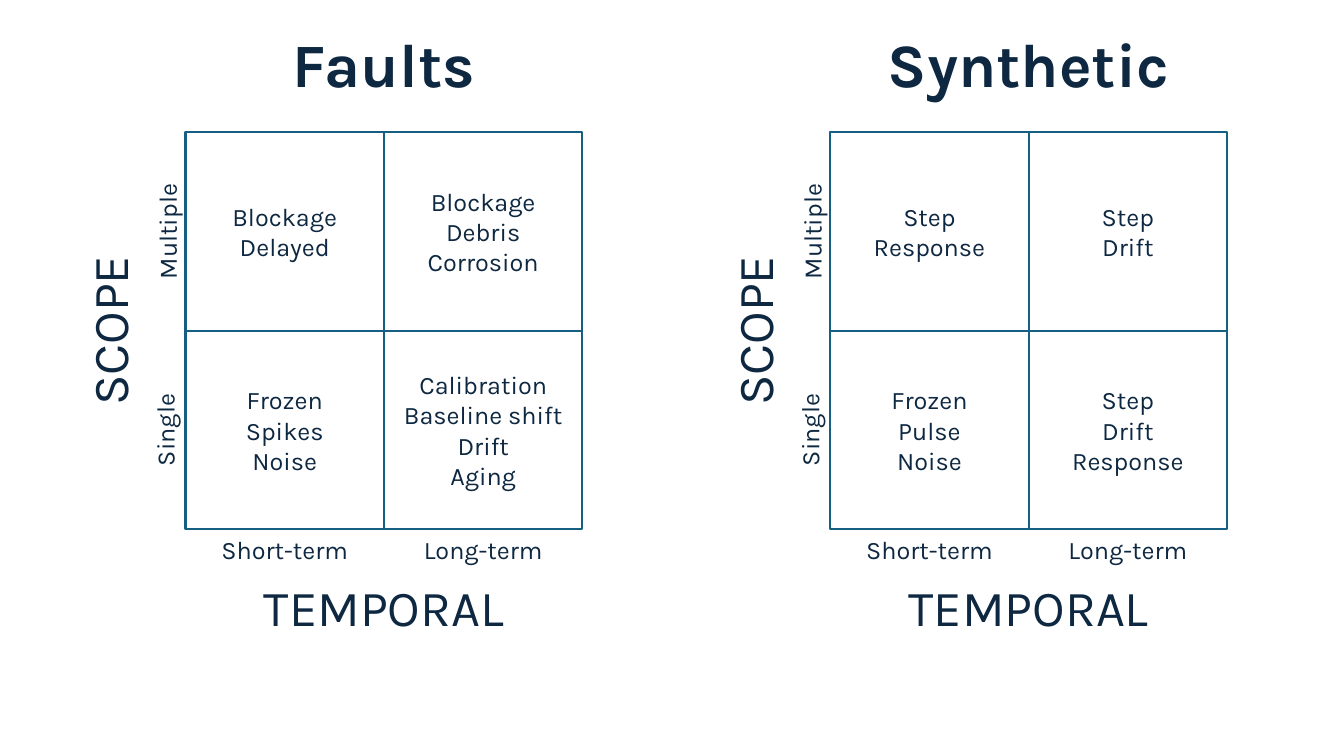
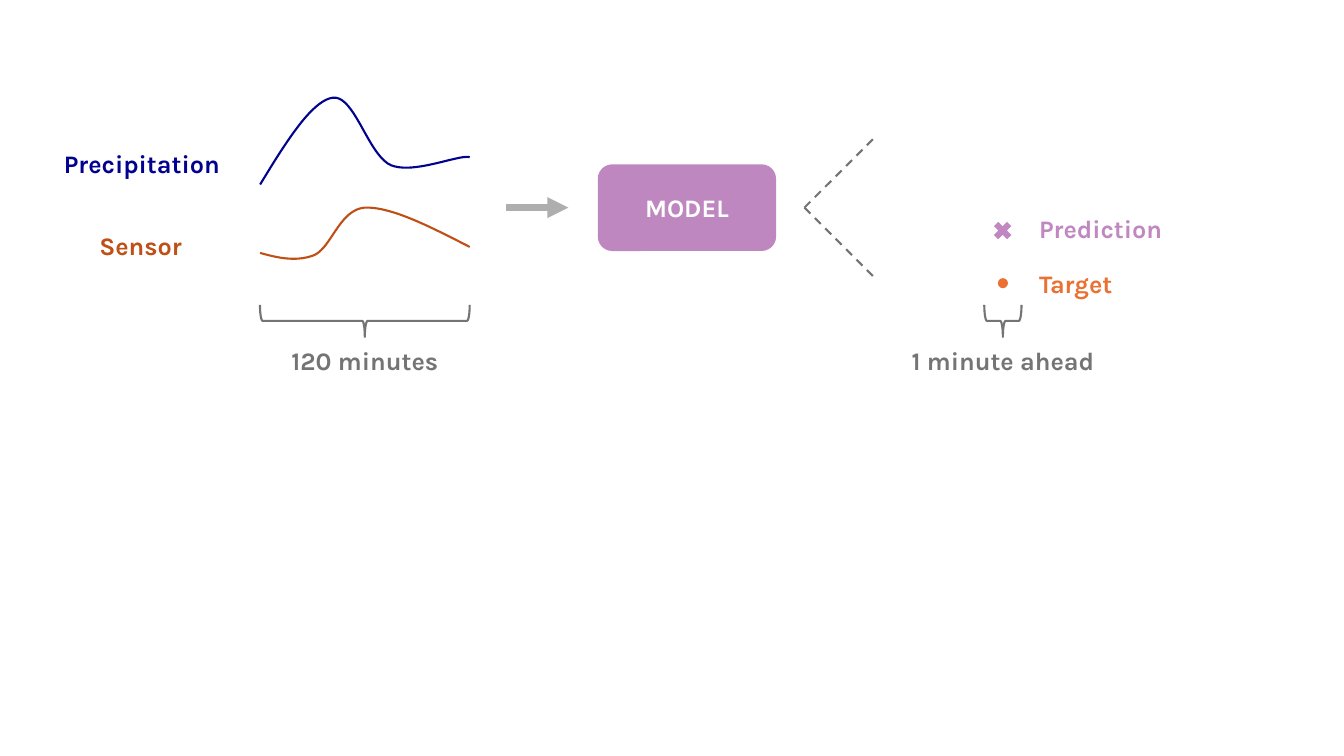
"""Builds two slides: fault grids by scope and time, and a forecast model diagram."""
from dataclasses import dataclass

from lxml import etree
from pptx import Presentation
from pptx.dml.color import RGBColor
from pptx.enum.dml import MSO_LINE
from pptx.enum.shapes import MSO_CONNECTOR, MSO_SHAPE
from pptx.enum.text import MSO_ANCHOR, PP_ALIGN
from pptx.oxml.ns import qn
from pptx.util import Pt

RECT, ROUND = MSO_SHAPE.RECTANGLE, MSO_SHAPE.ROUNDED_RECTANGLE
OVAL, CROSS, BRACE = MSO_SHAPE.OVAL, MSO_SHAPE.MATH_MULTIPLY, MSO_SHAPE.LEFT_BRACE
LEFT, MID, RIGHT = PP_ALIGN.LEFT, PP_ALIGN.CENTER, PP_ALIGN.RIGHT
CENTER = MSO_ANCHOR.MIDDLE
DASH = MSO_LINE.DASH
STRAIGHT = MSO_CONNECTOR.STRAIGHT


@dataclass(frozen=True)
class Theme:
    font: str = "Karla"
    ink: str = "0E2841"
    edge: str = "156082"
    rain: str = "01028D"
    sense: str = "C04F15"
    gray: str = "747474"
    pale: str = "AEAEAE"
    model: str = "BF87BF"
    guess: str = "C087C0"
    dot: str = "E97132"
    goal: str = "EA7131"
    white: str = "FFFFFF"
    title: int = 44
    axis: int = 36
    body: int = 18
    line: float = 1.5
    arrow: float = 5


T = Theme()

GRIDS = [
    ("Faults", 132.5, [
        [["Blockage", "Delayed"], ["Blockage", "Debris", "Corrosion"]],
        [["Frozen", "Spikes", "Noise"],
         ["Calibration", "Baseline shift", "Drift", "Aging"]],
    ]),
    ("Synthetic", 593, [
        [["Step", "Response"], ["Step", "Drift"]],
        [["Frozen", "Pulse", "Noise"], ["Step", "Drift", "Response"]],
    ]),
]
ROWS = [("Multiple", -13.3), ("Single", -15)]
COLS = ["Short-term", "Long-term"]
TOP, CELL = 94.5, 141.75

CURVES = [
    (T.rain, (185.8, 131.8), [
        ((203.8, 102.2), (222.5, 72), (237.6, 69.8)),
        ((253.4, 67.7), (262.8, 110.9), (279.4, 118.1)),
        ((295.9, 124.6), (327.6, 110.2), (335.5, 112.3))]),
    (T.sense, (185.8, 180.7), [
        ((198.7, 184.3), (211.7, 187.2), (224.6, 182.2)),
        ((236.9, 176.4), (242.6, 149.8), (260.6, 148.3)),
        ((279.4, 147.6), (307.4, 162), (335.5, 176.4))]),
]
STEPS = 20
LABELS = [
    ("Precipitation", 36.7, 102.2, 127.4, T.rain, RIGHT),
    ("Sensor", 36.7, 160.6, 127.4, T.sense, MID),
    ("Prediction", 735.1, 149, 150, T.guess, LEFT),
    ("Target", 735.1, 187.9, 150, T.goal, LEFT),
]
SPANS = [("120 minutes", 260.6, 149.8), ("1 minute ahead", 716.4, 26.6)]
AXIS = 148.3
FORK = (574.6, 51.1)


def rgb(code):
    return RGBColor.from_string(code)


def paint(shape, fill=None, edge=None):
    shape.shadow.inherit = False
    if fill:
        shape.fill.solid()
        shape.fill.fore_color.rgb = rgb(fill)
    else:
        shape.fill.background()
    if edge:
        shape.line.color.rgb = rgb(edge)
        shape.line.width = Pt(T.line)
    else:
        shape.line.fill.background()
    return shape


def write(shape, lines, size=T.body, color=T.ink, bold=False, align=MID):
    frame = shape.text_frame
    frame.word_wrap = True
    frame.vertical_anchor = CENTER
    for i, line in enumerate(lines):
        para = frame.add_paragraph() if i else frame.paragraphs[0]
        para.alignment = align
        run = para.add_run()
        run.text = line
        font = run.font
        font.name, font.size, font.bold = T.font, Pt(size), bold
        font.color.rgb = rgb(color)


def label(slide, text, x, y, w, h=29, turn=0, **look):
    box = slide.shapes.add_textbox(Pt(x), Pt(y), Pt(w), Pt(h))
    box.rotation = turn
    write(box, [text], **look)


def upright(slide, text, x, y, w, h=29, **look):
    label(slide, text, x - w / 2, y - h / 2, w, h, 270, **look)


def block(slide, kind, x, y, w, h, fill=None, edge=None):
    shape = slide.shapes.add_shape(kind, Pt(x), Pt(y), Pt(w), Pt(h))
    return paint(shape, fill, edge)


def link(slide, start, end, color, width):
    line = slide.shapes.add_connector(STRAIGHT, *map(Pt, start + end))
    line.line.color.rgb = rgb(color)
    line.line.width = Pt(width)
    etree.SubElement(line._element.spPr, qn("a:effectLst"))
    return line


def bend(a, b, c, d, t):
    u = 1 - t
    return [Pt(u**3 * p + 3 * u * u * t * q + 3 * u * t * t * r + t**3 * s)
            for p, q, r, s in zip(a, b, c, d)]


def curve(slide, color, start, parts):
    pen = slide.shapes.build_freeform(*map(Pt, start))
    dots = []
    for b, c, end in parts:
        dots += [bend(start, b, c, end, i / STEPS) for i in range(1, STEPS + 1)]
        start = end
    pen.add_line_segments(dots, close=False)
    paint(pen.convert_to_shape(), edge=color)


def grid(slide, title, left, cells):
    wide = 2 * CELL
    label(slide, title, left, 14.4, wide, 60.5, size=T.title, bold=True)
    for r, (name, shift) in enumerate(ROWS):
        upright(slide, name, left + shift, TOP + (r + 0.5) * CELL, CELL)
        for c, lines in enumerate(cells[r]):
            cell = block(slide, RECT, left + c * CELL, TOP + r * CELL,
                         CELL, CELL, edge=T.edge)
            write(cell, lines)
    for c, name in enumerate(COLS):
        label(slide, name, left + c * CELL, TOP + wide, CELL)
    upright(slide, "SCOPE", left - 55, TOP + CELL, wide, 51, size=T.axis)
    label(slide, "TEMPORAL", left, 407.5, wide, 51, size=T.axis)


def flow(slide):
    for item in CURVES:
        curve(slide, *item)
    for text, x, y, w, color, align in LABELS:
        label(slide, text, x, y, w, color=color, bold=True, align=align)
    for text, mid, span in SPANS:
        brace = block(slide, BRACE, mid - 11.5, 229.2 - span / 2, 23, span,
                      edge=T.gray)
        brace.rotation = 270
        label(slide, text, mid - 75, 242.6, 150, color=T.gray, bold=True)
    model = block(slide, ROUND, 427, 117.4, 127.4, 61.9, fill=T.model)
    write(model, ["MODEL"], color=T.white, bold=True)
    arrow = link(slide, (361.4, AXIS), (406, AXIS), T.pale, T.arrow)
    etree.SubElement(arrow.line._get_or_add_ln(), qn("a:tailEnd"), type="triangle")
    x, arm = FORK
    for rise in (-arm, arm):
        ray = link(slide, (x, AXIS), (x + arm, AXIS + rise), T.gray, T.line)
        ray.line.dash_style = DASH
    block(slide, OVAL, 712.8, 198.7, 7.2, 7.2, fill=T.dot)
    block(slide, CROSS, 707.2, 155.7, 18, 18, fill=T.guess)


def main():
    deck = Presentation()
    deck.slide_width, deck.slide_height = Pt(960), Pt(540)
    blank = deck.slide_layouts[6]
    first = deck.slides.add_slide(blank)
    for item in GRIDS:
        grid(first, *item)
    flow(deck.slides.add_slide(blank))
    deck.save("out.pptx")


if __name__ == "__main__":
    main()
